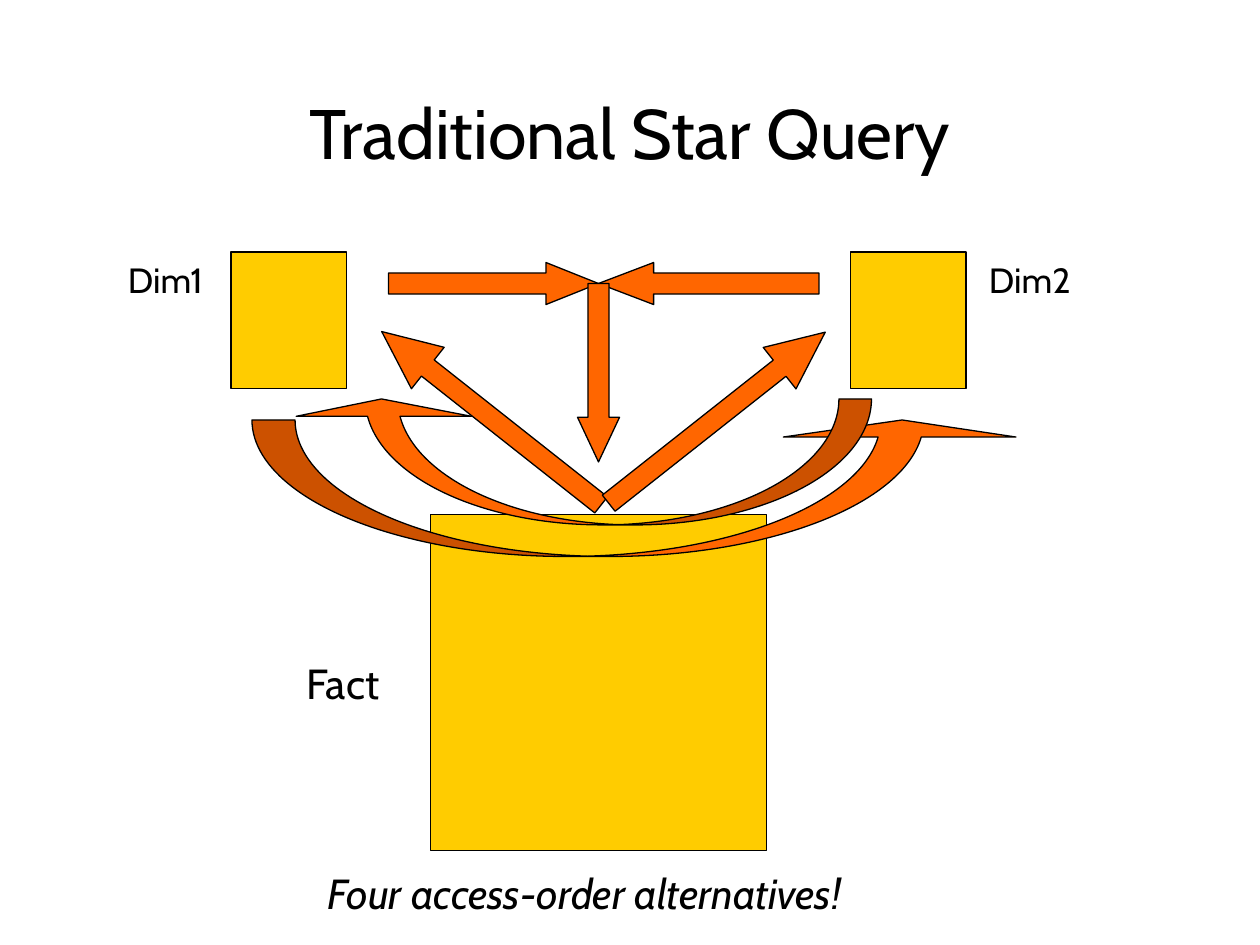
"""Build the star query slide."""
from pptx import Presentation
from pptx.dml.color import RGBColor
from pptx.enum.shapes import MSO_SHAPE as Kind
from pptx.enum.text import MSO_ANCHOR as Anchor, MSO_AUTO_SIZE as Fit, PP_ALIGN as Align
from pptx.util import Pt

BLACK = RGBColor(0, 0, 0)
GOLD = RGBColor(0xFF, 0xCC, 0)
ORANGE = RGBColor(0xFF, 0x66, 0)
FONT = "Cabin"

TITLE = ("Traditional Star Query", (54, 48, 612, 54), 40, False)
LABELS = [
    ("Dim1", (66, 144, 63, 31), 20, False),
    ("Dim2", (558, 144, 63, 31), 20, False),
    ("Fact", (168, 372, 60, 36), 24, False),
    ("Four access-order alternatives!", (180, 492, 355, 36), 24, True),
]
TABLES = [(132, 144, 66, 78), (246, 294, 192, 192), (486, 144, 66, 78)]
ARROWS = [
    (Kind.CURVED_UP_ARROW, (144, 240, 438, 78), (0.316, 1.704, 0.125), 0, False),
    (Kind.CURVED_UP_ARROW, (168, 228, 330, 72), (0.258, 1.39, 0.138), 0, True),
    (Kind.DOWN_ARROW, (265.7, 159.1, 30.2, 159.8), (0.389, 1.112), 128.3, False),
    (Kind.DOWN_ARROW, (394.6, 159.8, 30.2, 157.7), (0.389, 1.1), 231.7, False),
    (Kind.RIGHT_ARROW, (222, 150, 120, 24), (0.5, 1.25), 0, False),
    (Kind.RIGHT_ARROW, (342, 150, 126, 24), (0.5, 1.312), 0, True),
    (Kind.RIGHT_ARROW, (291, 201, 102, 24), (0.5, 1.062), 270, True),
]


def add_text(slide, text, box, size, slant):
    frame = slide.shapes.add_textbox(*map(Pt, box)).text_frame
    frame.text = text
    font = frame.paragraphs[0].runs[0].font
    font.name, font.size, font.italic = FONT, Pt(size), slant
    font.color.rgb = BLACK
    return frame


def add_form(slide, kind, box, fill):
    form = slide.shapes.add_shape(kind, *map(Pt, box))
    form.shadow.inherit = False
    form.fill.solid()
    form.fill.fore_color.rgb = fill
    form.line.color.rgb = BLACK
    form.line.width = Pt(0.75)
    return form


def main():
    deck = Presentation()
    deck.slide_width, deck.slide_height = Pt(720), Pt(540)
    slide = deck.slides.add_slide(deck.slide_layouts[6])

    title = add_text(slide, *TITLE)
    title.word_wrap = True
    title.vertical_anchor = Anchor.MIDDLE
    title.paragraphs[0].alignment = Align.CENTER

    for box in TABLES:
        add_form(slide, Kind.RECTANGLE, box, GOLD)

    for label in LABELS:
        frame = add_text(slide, *label)
        frame.word_wrap = False
        frame.auto_size = Fit.SHAPE_TO_FIT_TEXT

    for kind, box, bends, turn, flip in ARROWS:
        arrow = add_form(slide, kind, box, ORANGE)
        for i, bend in enumerate(bends):
            arrow.adjustments[i] = bend
        arrow.rotation = turn
        if flip:
            arrow._element.spPr.xfrm.set("flipH", "1")

    deck.save("out.pptx")


if __name__ == "__main__":
    main()
